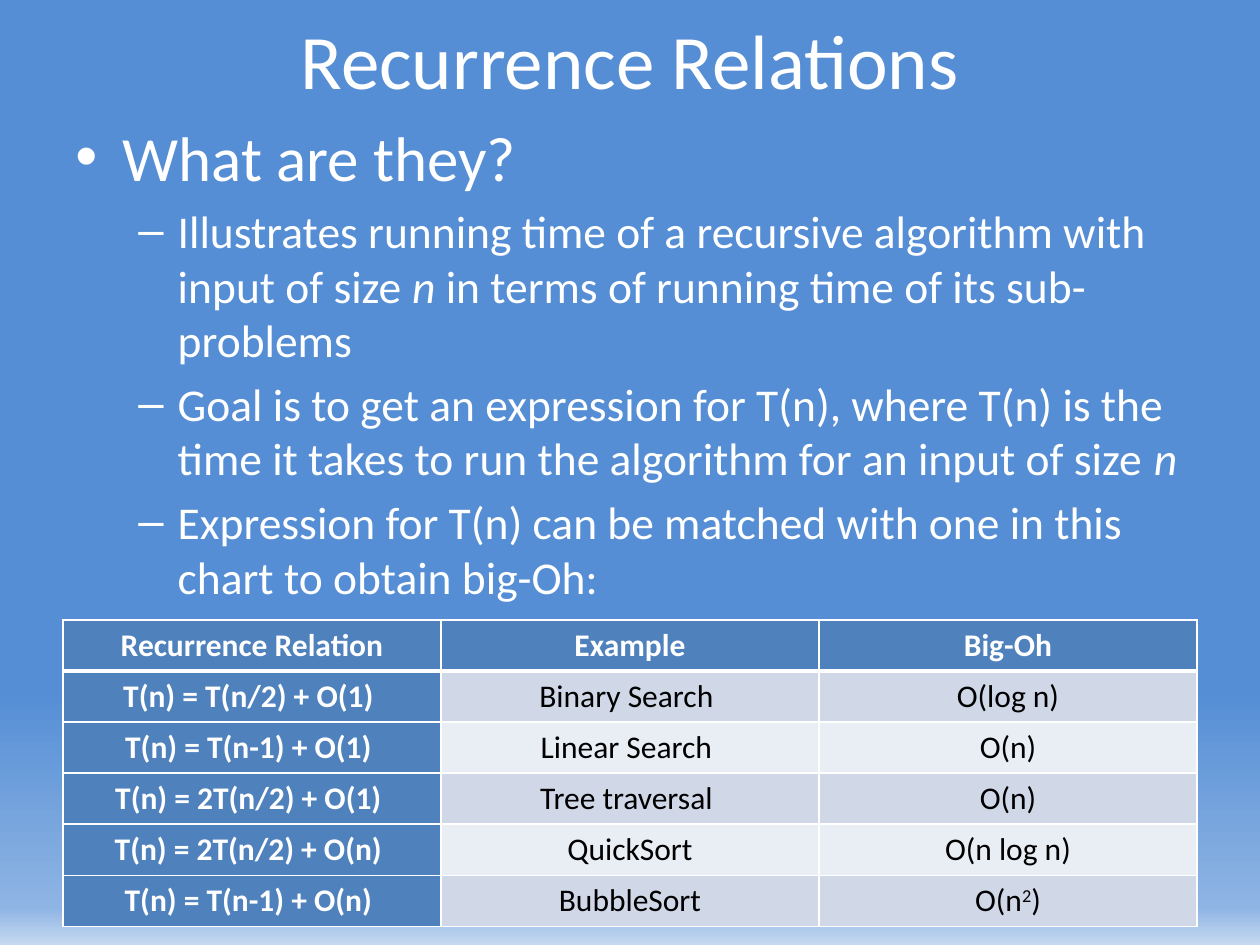
"""Build the Recurrence Relations slide."""
from copy import deepcopy

from lxml.etree import SubElement
from pptx import Presentation
from pptx.dml.color import RGBColor
from pptx.enum.text import MSO_ANCHOR, PP_ALIGN
from pptx.oxml.ns import qn
from pptx.util import Pt

COLORS = {"white": "FFFFFF", "black": "000000", "header": "4F81BD",
          "odd": "D0D8E8", "even": "E9EDF4"}
SKY = [(0.73, "558ED5"), (0.96, "8EB4E3"), (1, "C6D9F1")]
FONT = "Calibri"
TITLE = "Recurrence Relations"
LEVELS = [dict(size=36, bullet="•", margin=27, hang=27, before=7.2),
          dict(size=26, bullet="–", margin=58.5, hang=22.5, before=5.2)]
POINTS = [
    (0, ["What are they?"]),
    (1, ["Illustrates running time of a recursive algorithm with input of size ",
         ("n", "italic"), " in terms of running time of its sub-problems"]),
    (1, ["Goal is to get an expression for T(n), where T(n) is the time it takes "
         "to run the algorithm for an input of size ", ("n", "italic")]),
    (1, ["Expression for T(n) can be matched with one in this chart to obtain big-Oh:"]),
]
RECURRENCES = [
    ("Recurrence Relation", "Example", "Big-Oh"),
    ("T(n) = T(n/2) + O(1) ", "Binary Search ", "O(log n)"),
    ("T(n) = T(n-1) + O(1) ", "Linear Search ", "O(n)"),
    ("T(n) = 2T(n/2) + O(1) ", "Tree traversal ", "O(n)"),
    ("T(n) = 2T(n/2) + O(n) ", "QuickSort", "O(n log n)"),
    ("T(n) = T(n-1) + O(n) ", "BubbleSort", ["O(n", ("2", "super"), ")"]),
]
LEFT, WIDTH = 36, 648
COLUMN_WIDTH, ROW_HEIGHT = WIDTH / 3, 29.2


def write(paragraph, text, size, color="white", bold=False, align=PP_ALIGN.LEFT,
          bullet=None, margin=0, hang=0, before=0):
    paragraph.alignment = align
    paragraph.space_before = Pt(before)
    for piece in [text] if isinstance(text, str) else text:
        words, style = (piece, None) if isinstance(piece, str) else piece
        run = paragraph.add_run()
        run.text = words
        run.font.name, run.font.size, run.font.bold = FONT, Pt(size), bold
        run.font.italic = style == "italic"
        run.font.color.rgb = RGBColor.from_string(COLORS[color])
        if style == "super":
            run.font._element.set("baseline", "30000")
    if bullet:
        properties = paragraph._p.get_or_add_pPr()
        properties.set("marL", str(Pt(margin)))
        properties.set("indent", str(-Pt(hang)))
        SubElement(properties, qn("a:buFont"), typeface="Arial")
        SubElement(properties, qn("a:buChar"), char=bullet)


def add_frame(top, height, anchor):
    frame = slide.shapes.add_textbox(Pt(LEFT), Pt(top), Pt(WIDTH), Pt(height)).text_frame
    frame.word_wrap = True
    frame.vertical_anchor = anchor
    return frame


def set_borders(cell, **widths):
    properties = cell._tc.get_or_add_tcPr()
    for place, (side, width) in enumerate(widths.items()):
        line = properties.makeelement(qn(f"a:{side}"), {"w": str(Pt(width))})
        fill = SubElement(line, qn("a:solidFill"))
        SubElement(fill, qn("a:srgbClr"), val=COLORS["white"])
        properties.insert(place, line)


presentation = Presentation()
presentation.slide_width, presentation.slide_height = Pt(720), Pt(540)
slide = presentation.slides.add_slide(presentation.slide_layouts[6])

sky = slide.background.fill
sky.gradient()
sky.gradient_angle = 270
stop_list = next(slide.element.iter(qn("a:gsLst")))
stop_list.append(deepcopy(stop_list[0]))
for stop, (position, color) in zip(sky.gradient_stops, SKY):
    stop.position = position
    stop.color.rgb = RGBColor.from_string(color)

title = add_frame(2.9, 61.2, MSO_ANCHOR.MIDDLE)
write(title.paragraphs[0], TITLE, 44, align=PP_ALIGN.CENTER)

body = add_frame(64.1, 436.3, MSO_ANCHOR.TOP)
for number, (level, text) in enumerate(POINTS):
    point = body.add_paragraph() if number else body.paragraphs[0]
    point.level = level
    write(point, text, **LEVELS[level])

table = slide.shapes.add_table(len(RECURRENCES), 3, Pt(LEFT), Pt(354.2), Pt(WIDTH),
                               Pt(ROW_HEIGHT * len(RECURRENCES))).table
for column in table.columns:
    column.width = Pt(COLUMN_WIDTH)
for r, recurrence in enumerate(RECURRENCES):
    table.rows[r].height = Pt(ROW_HEIGHT)
    for c, text in enumerate(recurrence):
        cell = table.cell(r, c)
        heading = r == 0 or c == 0
        shade = "header" if heading else "odd" if r % 2 else "even"
        cell.fill.solid()
        cell.fill.fore_color.rgb = RGBColor.from_string(COLORS[shade])
        cell.margin_left = cell.margin_right = cell.margin_top = cell.margin_bottom = 0
        cell.vertical_anchor = MSO_ANCHOR.MIDDLE
        set_borders(cell, lnL=1, lnR=1, lnT=3 if r == 1 else 1, lnB=3 if r == 0 else 1)
        write(cell.text_frame.paragraphs[0], text, 18, bold=heading,
              color="white" if heading else "black", align=PP_ALIGN.CENTER)

presentation.save("out.pptx")
